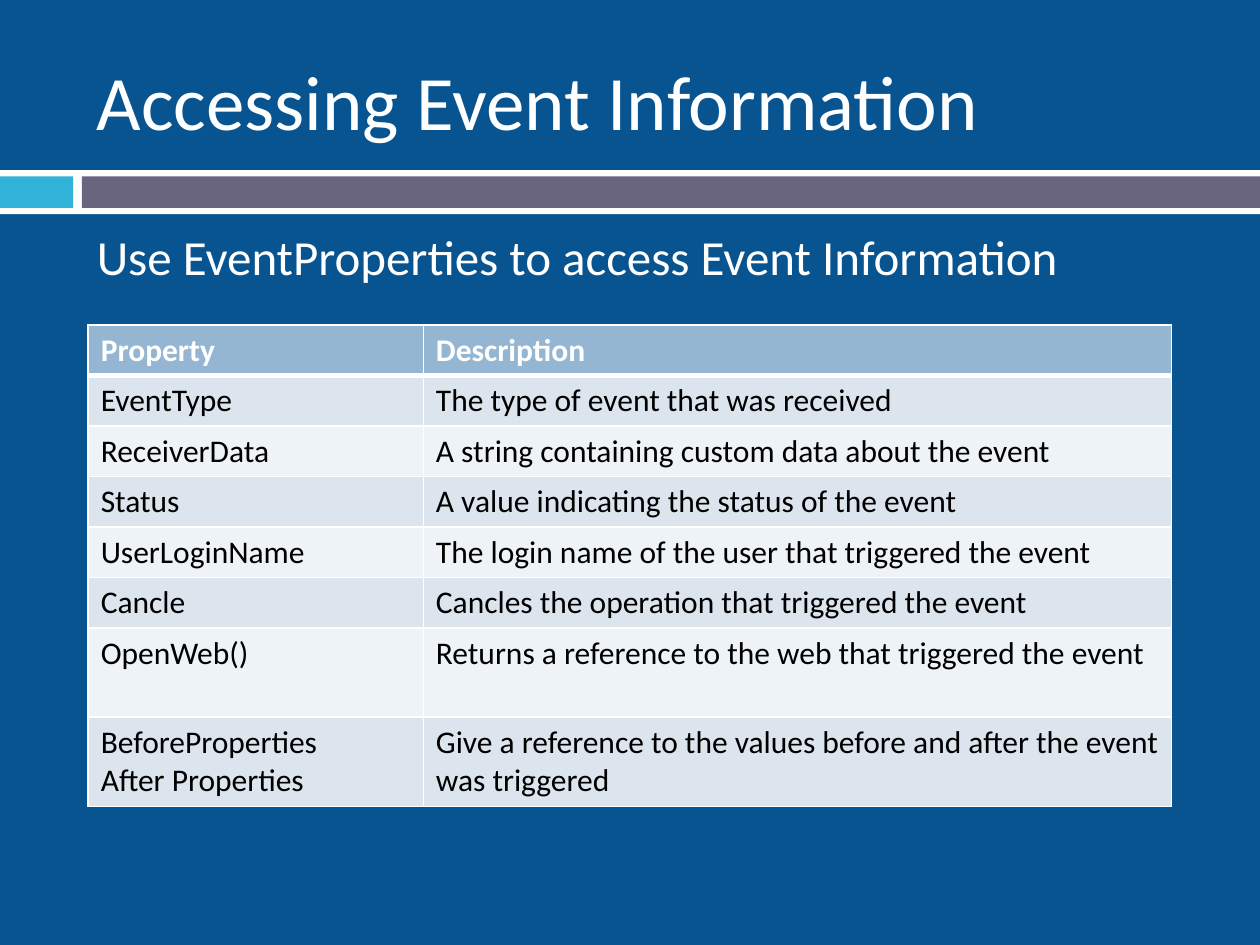
"""Build the slide on reading event information through EventProperties."""
import pptx
import pptx.dml.color
import pptx.enum.shapes
import pptx.enum.text
import pptx.oxml
import pptx.oxml.ns
import pptx.util

COLORS = {
    "background": "085490", "white": "FFFFFF", "accent": "32B2D9", "bar": "69657E",
    "header": "94B6D2", "odd": "DCE5EE", "even": "EEF3F7", "black": "000000",
}
PROPERTIES = [
    ("Property", "Description"),
    ("EventType", "The type of event that was received"),
    ("ReceiverData", "A string containing custom data about the event"),
    ("Status", "A value indicating the status of the event"),
    ("UserLoginName", "The login name of the user that triggered the event"),
    ("Cancle", "Cancles the operation that triggered the event"),
    ("OpenWeb()", "Returns a reference to the web that triggered the event"),
    ("BeforeProperties\nAfter Properties",
     "Give a reference to the values before and after the event was triggered"),
]


def paint(fill, color):
    fill.solid()
    fill.fore_color.rgb = pptx.dml.color.RGBColor.from_string(COLORS[color])


def style(paragraph, size, color, bold=False):
    paragraph.font.name = "Calibri"
    paragraph.font.size = pptx.util.Pt(size)
    paragraph.font.bold = bold
    paragraph.font.color.rgb = pptx.dml.color.RGBColor.from_string(COLORS[color])


deck = pptx.Presentation()
deck.slide_width, deck.slide_height = pptx.util.Inches(10), pptx.util.Inches(7.5)
column, row = deck.slide_width // 10, deck.slide_height * 2 // 15
slide = deck.slides.add_slide(deck.slide_layouts[6])
paint(slide.background.fill, "background")

for left, top, width, height, color in [
    (0, 1.35, 10, 0.35, "white"),
    (0, 1.4, 0.58, 0.25, "accent"),
    (0.65, 1.4, 9.35, 0.25, "bar"),
]:
    band = slide.shapes.add_shape(
        pptx.enum.shapes.MSO_SHAPE.RECTANGLE,
        int(left * column), int(top * row), int(width * column), int(height * row))
    band.shadow.inherit = False
    band.line.fill.background()
    paint(band.fill, color)

for wording, top, height, size, anchor, space in [
    ("Accessing Event Information", 0.25, 1.08, 44, "MIDDLE", 0),
    ("Use EventProperties to access Event Information", 1.75, 4.92, 28, "TOP", 7),
]:
    heading = slide.shapes.add_textbox(
        int(0.67 * column), int(top * row), int(8.92 * column), int(height * row))
    frame = heading.text_frame
    frame.word_wrap = True
    frame.vertical_anchor = pptx.enum.text.MSO_ANCHOR[anchor]
    frame.text = wording
    frame.paragraphs[0].space_before = pptx.util.Pt(space)
    style(frame.paragraphs[0], size, "white")

heights = [0.4] * 6 + [0.71] * 2
properties = slide.shapes.add_table(
    len(PROPERTIES), 2, int(0.7 * column), int(2.58 * row),
    int(8.6 * column), int(sum(heights) * row)).table
for table_column, share in zip(properties.columns, (2.66, 5.94)):
    table_column.width = int(share * column)

for index, (entry, height) in enumerate(zip(PROPERTIES, heights)):
    properties.rows[index].height = int(height * row)
    is_header = index == 0
    shade = "header" if is_header else "odd" if index % 2 else "even"
    borders = {"lnL": 1, "lnR": 1, "lnT": 3 if index == 1 else 1, "lnB": 3 if is_header else 1}
    for cell, wording in zip(properties.rows[index].cells, entry):
        cell.text = wording
        for paragraph in cell.text_frame.paragraphs:
            style(paragraph, 18, "white" if is_header else "black", is_header)
        cell_properties = cell._tc.get_or_add_tcPr()
        for side, points in borders.items():
            cell_properties.append(pptx.oxml.parse_xml(
                f'<a:{side} {pptx.oxml.ns.nsdecls("a")} w="{pptx.util.Pt(points)}"><a:solidFill>'
                f'<a:srgbClr val="{COLORS["white"]}"/></a:solidFill></a:{side}>'))
        paint(cell.fill, shade)

deck.save("out.pptx")
